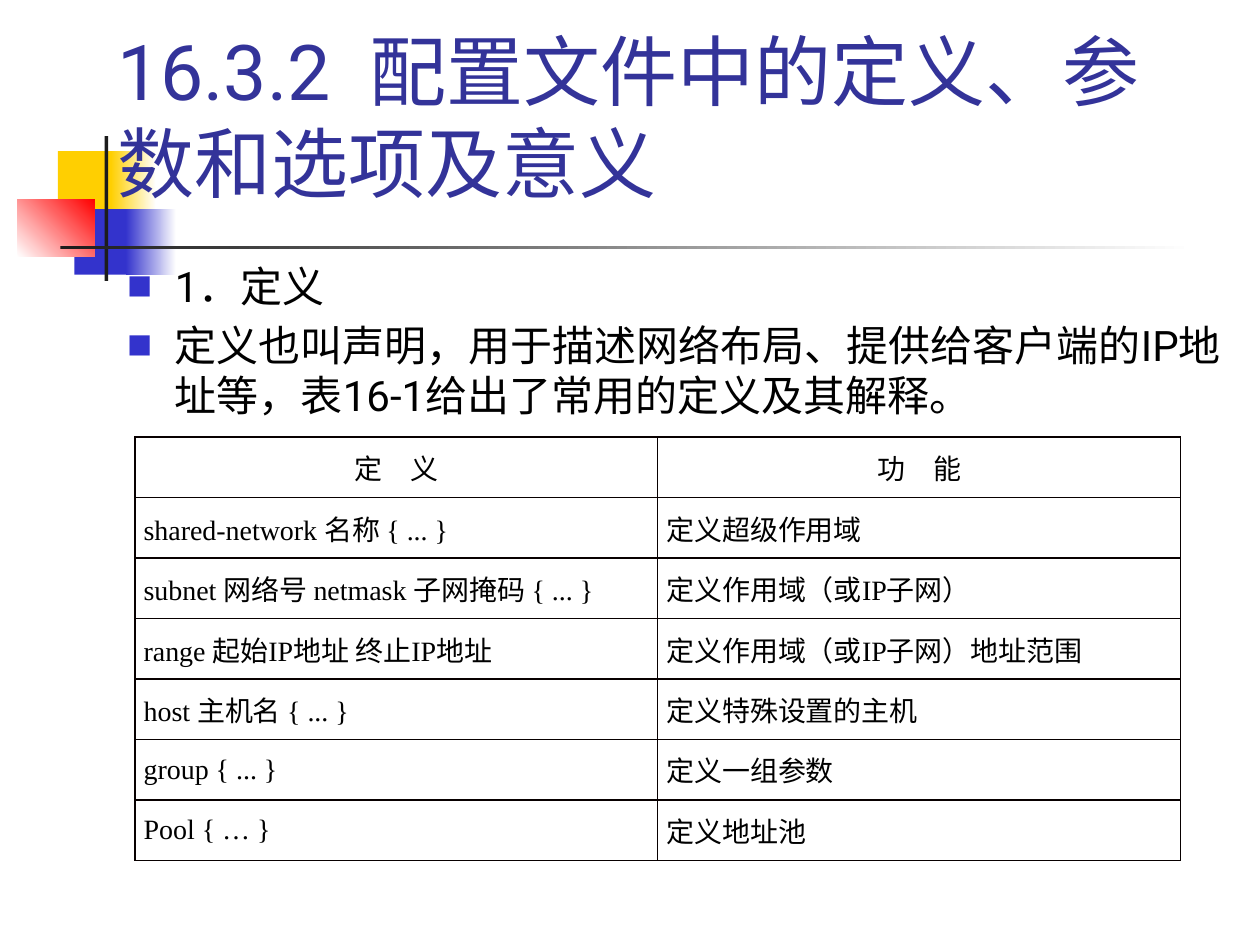
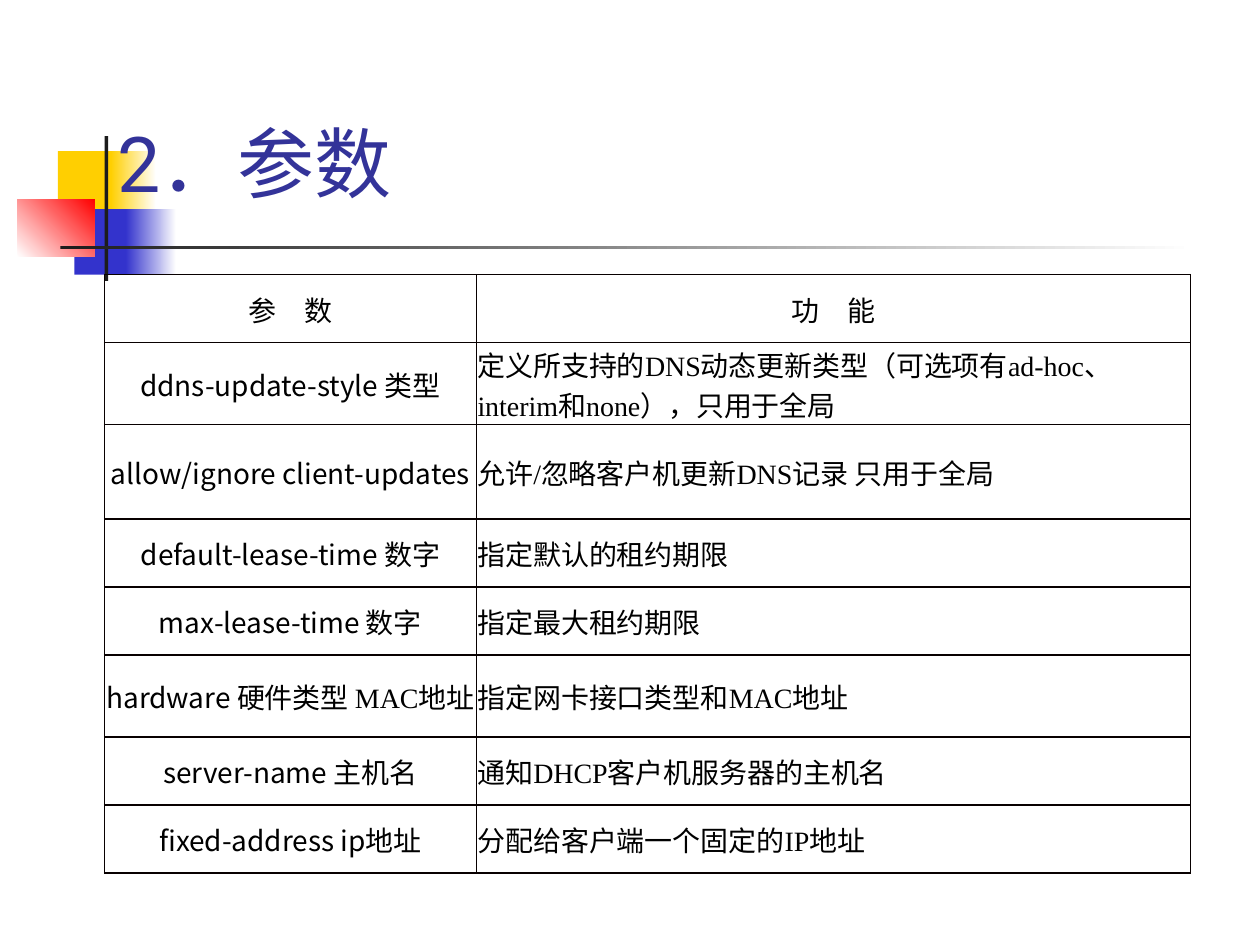
"""Build two slides on DHCP configuration: definitions and parameters."""
from dataclasses import dataclass

from lxml.etree import SubElement
from pptx import Presentation
from pptx.dml.color import RGBColor
from pptx.enum.shapes import MSO_SHAPE
from pptx.enum.text import MSO_ANCHOR, MSO_AUTO_SIZE, PP_ALIGN
from pptx.oxml.ns import qn
from pptx.util import Inches, Pt


@dataclass(frozen=True)
class Theme:
    """Colours, faces and type sizes."""
    gold: str = "FFCF01"
    blue: str = "3333CC"
    red: str = "FF0000"
    dark: str = "1C1C1C"
    white: str = "FFFFFF"
    navy: str = "333399"
    ink: str = "000000"
    edge: str = "080000"
    sans: str = "Roboto"
    serif: str = "Times New Roman"
    han: str = "Noto Sans CJK SC"
    head: int = 44
    body: int = 24
    cell: int = 16


T = Theme()

MOTIF = [
    ((0.46, 1.2, 0.48, 0.52), (T.gold,), 0),
    ((0.88, 1.2, 0.36, 0.52), (T.gold, T.white), 0),
    ((0.59, 1.66, 0.46, 0.52), (T.blue,), 0),
    ((1, 1.66, 0.4, 0.52), (T.blue, T.white), 0),
    ((0.14, 1.58, 0.61, 0.46), (T.white, T.red), 45),
    ((0.83, 1.08, 0.03, 1.15), (T.dark,), 0),
    ((0.48, 1.95, 9, 0.03), (T.dark, T.white), 0),
]

# In table text, each "|" switches between the Han face and the serif face.
SLIDES = [
    {
        "title": "16.3.2  配置文件中的定义、参数和选项及意义",
        "points": [
            "1．定义",
            "定义也叫声明，用于描述网络布局、提供给客户端的IP地址等，表16-1给出了常用的定义及其解释。",
        ],
        "spot": (1.07, 3.47),
        "cols": (4.15, 4.15),
        "high": [0.48] * 7,
        "pad": (0.07, 0),
        "mid": False,
        "rows": [
            ("定　义", "功　能"),
            ("|shared-network |名称| { ... }", "定义超级作用域"),
            ("|subnet |网络号| netmask |子网掩码| { ... }", "定义作用域（或|IP|子网）"),
            ("|range |起始|IP|地址 终止|IP|地址", "定义作用域（或|IP|子网）地址范围"),
            ("|host |主机名| { ... }", "定义特殊设置的主机"),
            ("|group { ... }", "定义一组参数"),
            ("|Pool { … }", "定义地址池"),
        ],
    },
    {
        "title": "2．参数",
        "points": [],
        "spot": (0.83, 2.18),
        "cols": (2.95, 5.67),
        "high": [0.54] * 2 + [0.75] + [0.54] * 5,
        "pad": (0.01, 0.01),
        "mid": True,
        "rows": [
            ("参　数", "功　能"),
            ("ddns-update-style 类型",
             "定义所支持的|DNS|动态更新类型（可选项有|ad-hoc|、|interim|和|none|），只用于全局"),
            ("allow/ignore client-updates", "允许|/|忽略客户机更新|DNS|记录 只用于全局"),
            ("default-lease-time 数字", "指定默认的租约期限"),
            ("max-lease-time 数字", "指定最大租约期限"),
            ("hardware 硬件类型| MAC|地址", "指定网卡接口类型和|MAC|地址"),
            ("server-name 主机名", "通知|DHCP|客户机服务器的主机名"),
            ("fixed-address ip地址", "分配给客户端一个固定的|IP|地址"),
        ],
    },
]


def tint(code):
    """Turn a hex code into a colour."""
    return RGBColor.from_string(code)


def write(par, text, size=T.cell, faces=(T.han, T.serif), ink=T.ink, align=PP_ALIGN.LEFT):
    """Write text into a paragraph, swapping faces at each bar."""
    par.alignment = align
    for turn, part in enumerate(text.split("|")):
        if not part:
            continue
        run = par.add_run()
        run.text = part
        run.font.size = Pt(size)
        run.font.name = faces[turn % 2]
        run.font.color.rgb = tint(ink)
        SubElement(run._r.get_or_add_rPr(), qn("a:ea"), typeface=T.han)


def dress(layout, slide):
    """Give the layout its motif and title place, drawing by way of a slide."""
    for hold in list(layout.placeholders)[1:]:
        hold.element.getparent().remove(hold.element)
    for spot, (box, hues, angle) in enumerate(MOTIF, 2):
        part = slide.shapes.add_shape(MSO_SHAPE.RECTANGLE, *map(Inches, box))
        part.shadow.inherit = False
        part.line.fill.background()
        if len(hues) == 1:
            part.fill.solid()
            part.fill.fore_color.rgb = tint(hues[0])
        else:
            part.fill.gradient()
            part.fill.gradient_angle = angle
            for place, (stop, hue) in enumerate(zip(part.fill.gradient_stops, hues)):
                stop.position = place
                stop.color.rgb = tint(hue)
        layout.shapes.element.insert(spot, part.element)


def head(slide, text):
    """Place and fill the title."""
    title = slide.shapes.title
    title.left, title.top, title.width, title.height = map(Inches, (0.83, 0.44, 8.92, 1.26))
    frame = title.text_frame
    frame.auto_size = MSO_AUTO_SIZE.NONE
    frame.vertical_anchor = MSO_ANCHOR.BOTTOM
    write(frame.paragraphs[0], text, size=T.head, faces=(T.sans,), ink=T.navy)


def listing(slide, points):
    """Add the bulleted text."""
    box = slide.shapes.add_textbox(*map(Inches, (0.91, 2.02, 8.89, 1.4)))
    frame = box.text_frame
    frame.word_wrap = True
    for turn, text in enumerate(points):
        par = frame.add_paragraph() if turn else frame.paragraphs[0]
        write(par, text, size=T.body, faces=(T.sans,))
        par.space_before = Pt(T.body * 0.2)
        props = par._p.get_or_add_pPr()
        props.set("marL", str(Inches(0.38)))
        props.set("indent", str(-Inches(0.38)))
        SubElement(SubElement(props, qn("a:buClr")), qn("a:srgbClr"), val=T.blue)
        SubElement(props, qn("a:buSzPct"), val="60000")
        SubElement(props, qn("a:buFont"), typeface=T.han)
        SubElement(props, qn("a:buChar"), char="■")


def rule(cell):
    """Line all four sides of a cell."""
    props = cell._tc.get_or_add_tcPr()
    for side in ("lnL", "lnR", "lnT", "lnB"):
        line = SubElement(props, qn("a:" + side), w=str(Pt(1)))
        SubElement(SubElement(line, qn("a:solidFill")), qn("a:srgbClr"), val=T.edge)


def grid(slide, data):
    """Add the table."""
    rows, cols, high = data["rows"], data["cols"], data["high"]
    size = (*data["spot"], sum(cols), sum(high))
    table = slide.shapes.add_table(len(rows), len(cols), *map(Inches, size)).table
    table.first_row = table.horz_banding = False
    for col, wide in zip(table.columns, cols):
        col.width = Inches(wide)
    side, top = map(Inches, data["pad"])
    for r, row in enumerate(rows):
        table.rows[r].height = Inches(high[r])
        for c, text in enumerate(row):
            cell = table.cell(r, c)
            rule(cell)
            cell.fill.background()
            cell.vertical_anchor = MSO_ANCHOR.MIDDLE
            cell.margin_left = cell.margin_right = side
            cell.margin_top, cell.margin_bottom = top, 0
            mid = r == 0 or (c == 0 and data["mid"])
            write(cell.text_frame.paragraphs[0], text,
                  align=PP_ALIGN.CENTER if mid else PP_ALIGN.LEFT)


def main():
    """Build and save the deck."""
    deck = Presentation()
    deck.slide_width, deck.slide_height = Inches(10), Inches(7.5)
    layout = deck.slide_layouts[5]
    for turn, data in enumerate(SLIDES):
        slide = deck.slides.add_slide(layout)
        if turn == 0:
            dress(layout, slide)
        head(slide, data["title"])
        if data["points"]:
            listing(slide, data["points"])
        grid(slide, data)
    deck.save("out.pptx")


if __name__ == "__main__":
    main()
